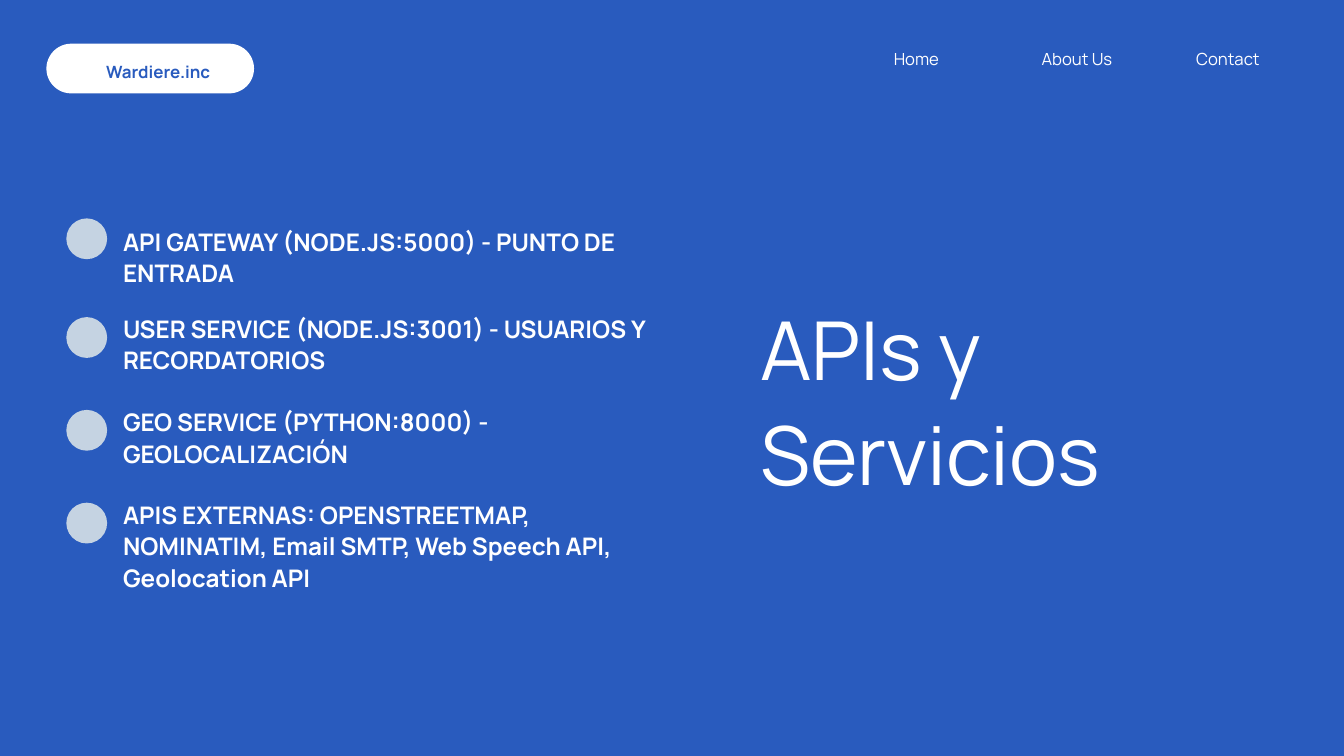
"""Build the APIs and services slide."""
from dataclasses import dataclass

from lxml.etree import SubElement
from pptx import Presentation
from pptx.dml.color import RGBColor
from pptx.enum.shapes import MSO_SHAPE as Preset
from pptx.enum.text import MSO_ANCHOR as Anchor, MSO_AUTO_SIZE as AutoSize, PP_ALIGN as Align
from pptx.oxml.ns import qn
from pptx.util import Pt

BLUE = RGBColor(0x29, 0x5B, 0xBE)
WHITE = RGBColor(0xFF, 0xFF, 0xFF)
PALE = RGBColor(0xC5, 0xD3, 0xE2)
FONT = "Manrope"


@dataclass(frozen=True)
class Box:
    left: float
    top: float
    width: float
    height: float


@dataclass(frozen=True)
class Service:
    text: str
    dot_top: float
    gap: float


@dataclass(frozen=True)
class NavLink:
    text: str
    left: float
    width: float


SERVICES = [
    Service("API GATEWAY (NODE.JS:5000) - PUNTO DE ENTRADA", 234, 0),
    Service("USER SERVICE (NODE.JS:3001) - USUARIOS Y RECORDATORIOS", 339.8, 25.8),
    Service("GEO SERVICE (PYTHON:8000) - GEOLOCALIZACIÓN", 439.2, 33),
    Service("APIS EXTERNAS: OPENSTREETMAP, NOMINATIM, Email SMTP, "
            "Web Speech API, Geolocation API", 538.6, 32.4),
]
NAV_LINKS = [
    NavLink("Home", 957.6, 66.2),
    NavLink("About Us", 1116, 95.8),
    NavLink("Contact", 1281.6, 95.8),
]


def place(shape, box: Box):
    """Move a text shape to its box and clear its insets."""
    shape.left, shape.top = Pt(box.left), Pt(box.top)
    shape.width, shape.height = Pt(box.width), Pt(box.height)
    frame = shape.text_frame
    frame.margin_left = frame.margin_right = frame.margin_top = frame.margin_bottom = 0
    frame.word_wrap = True
    frame.auto_size = AutoSize.NONE
    frame.vertical_anchor = Anchor.TOP
    return frame


def write(paragraph, text: str, *, size: float, color: RGBColor = WHITE,
          bold: bool = False, gap: float = 0) -> None:
    """Fill a paragraph with formatted, unbulleted text."""
    properties = paragraph._p.get_or_add_pPr()
    properties.set("marL", "0")
    properties.set("indent", "0")
    SubElement(properties, qn("a:buNone"))
    paragraph.alignment = Align.LEFT
    paragraph.line_spacing = 1.08
    paragraph.space_before = Pt(gap)
    run = paragraph.add_run()
    run.text = text
    run.font.name, run.font.size, run.font.bold = FONT, Pt(size), bold
    run.font.color.rgb = color


def draw_shape(slide, preset: Preset, box: Box, fill: RGBColor):
    """Draw a flat filled shape without an outline."""
    shape = slide.shapes.add_shape(
        preset, Pt(box.left), Pt(box.top), Pt(box.width), Pt(box.height))
    shape.fill.solid()
    shape.fill.fore_color.rgb = fill
    shape.line.fill.background()
    shape.shadow.inherit = False
    return shape


def draw_label(slide, text: str, box: Box, **style) -> None:
    """Add a one-paragraph text box."""
    label = slide.shapes.add_textbox(0, 0, 0, 0)
    write(place(label, box).paragraphs[0], text, **style)


def main() -> None:
    """Compose and save the slide."""
    deck = Presentation()
    deck.slide_width, deck.slide_height = Pt(1440), Pt(810)
    slide = deck.slides.add_slide(deck.slide_layouts[1])
    slide.background.fill.solid()
    slide.background.fill.fore_color.rgb = BLUE

    heading = place(slide.shapes.title, Box(814.3, 312.5, 570.2, 218.9))
    write(heading.paragraphs[0], "APIs y Servicios", size=87)

    service_list = place(slide.placeholders[1], Box(131.8, 241.2, 588.2, 389.5))
    for index, service in enumerate(SERVICES):
        item = service_list.add_paragraph() if index else service_list.paragraphs[0]
        write(item, service.text, size=25.9, bold=True, gap=service.gap)
        draw_shape(slide, Preset.OVAL, Box(71.1, service.dot_top, 43.7, 43.7), PALE)

    badge = draw_shape(slide, Preset.ROUNDED_RECTANGLE, Box(49.7, 46.8, 222.5, 53.3), WHITE)
    badge.adjustments[0] = 0.5
    draw_label(slide, "Wardiere.inc", Box(113.8, 64.1, 144, 20.9),
               size=18.1, color=BLUE, bold=True)
    for link in NAV_LINKS:
        draw_label(slide, link.text, Box(link.left, 51.1, link.width, 21.6), size=17.9)

    deck.save("out.pptx")


if __name__ == "__main__":
    main()
